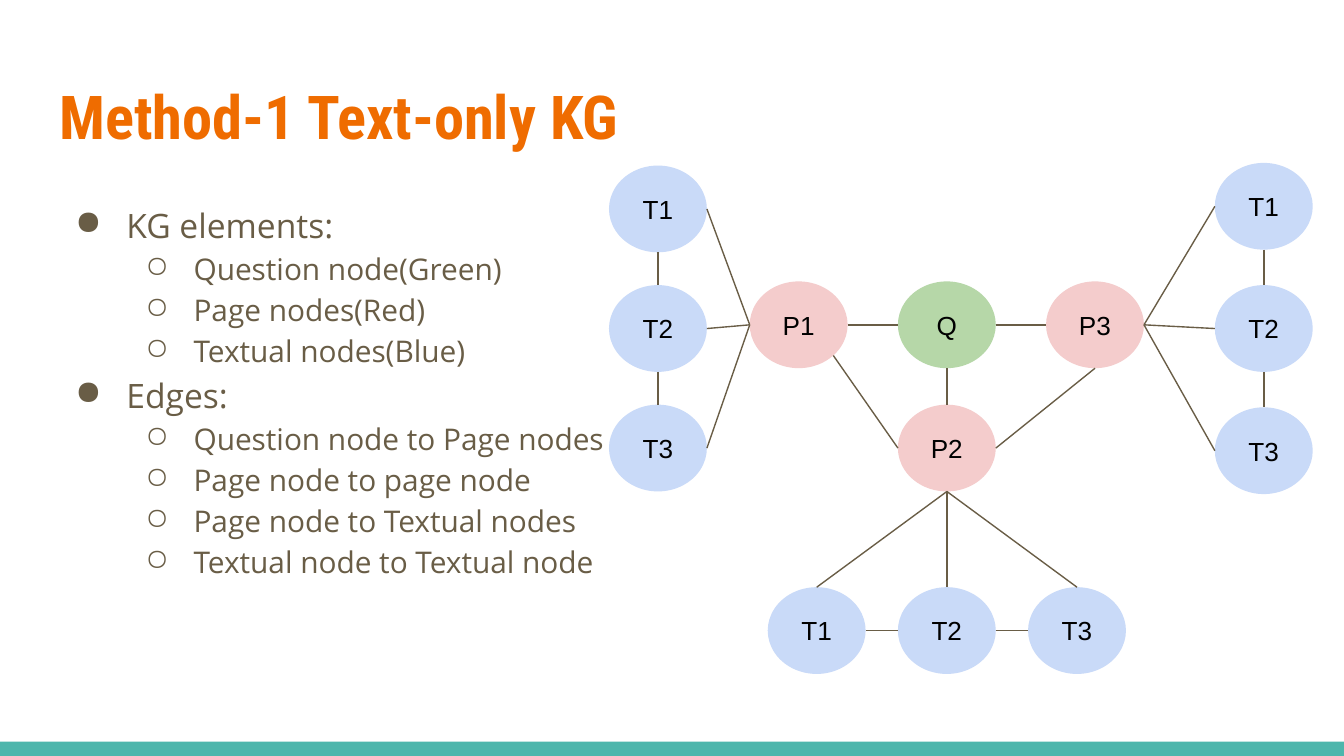
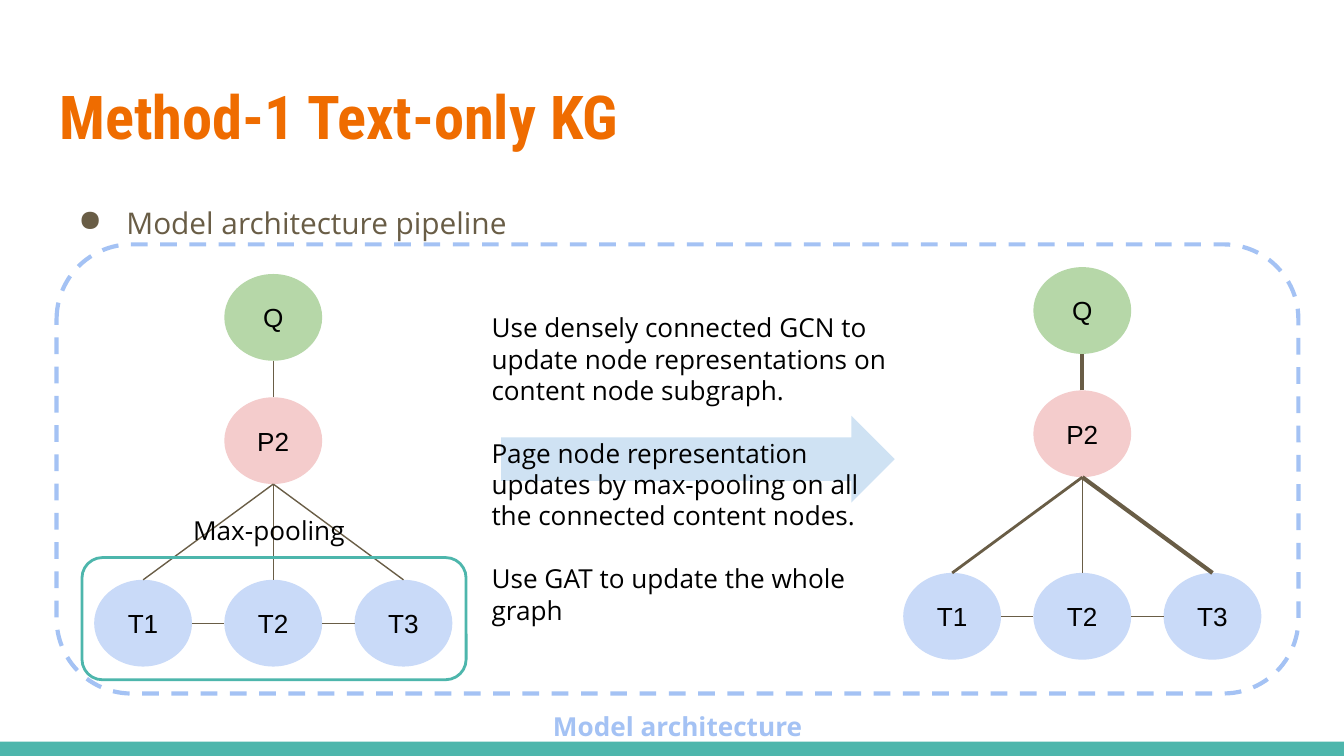
from lxml import etree
from pptx import Presentation
from pptx.dml.color import RGBColor
from pptx.enum.dml import MSO_LINE_DASH_STYLE as Dash
from pptx.enum.shapes import MSO_CONNECTOR as Conn, MSO_SHAPE as Shape
from pptx.enum.text import MSO_ANCHOR as Anchor, MSO_AUTO_SIZE as AutoSize, PP_ALIGN as Align
from pptx.oxml.ns import qn
from pptx.util import Cm, Pt

COLORS = {
    "orange": "EF6C00", "teal": "4DB6AC", "brown": "695D46", "black": "000000",
    "question": "B6D7A8", "page": "F4CCCC", "textual": "C9DAF8",
    "frame": "A4C2F4", "arrow": "CFE2F3",
}
NODE_W, NODE_H = 1.85, 1.64
SIDES = {
    "top": (0.5, 0), "left": (0, 0.5), "bottom": (0.5, 1), "right": (1, 0.5),
    "bottom right": (0.854, 0.854),
}
# (bullet, left margin in cm, size in points) for each level
LEVELS = [("●", 1.27, 18), ("○", 2.54, 16)]


def rgb(name):
    return RGBColor.from_string(COLORS[name])


class Deck:
    def __init__(self):
        self.prs = Presentation()
        self.prs.slide_width, self.prs.slide_height = Cm(25.4), Cm(14.29)
        self.s = None

    def slide(self, title):
        """Start a slide with the shared title and bottom band."""
        self.s = self.prs.slides.add_slide(self.prs.slide_layouts[5])
        self.shape(Shape.RECTANGLE, 0, 14.02, 25.4, 0.27, fill="teal")
        sp = self.s.shapes.title
        sp.left, sp.top, sp.width, sp.height = Cm(0.87), Cm(1.24), Cm(23.67), Cm(1.96)
        tf = self.frame(sp)
        p = tf.paragraphs[0]
        p.alignment = Align.LEFT
        self.run(p, title, 32.4, "orange", "Roboto Condensed", bold=True)

    def frame(self, sp, anchor=Anchor.TOP):
        tf = sp.text_frame
        tf.word_wrap = True
        tf.auto_size = AutoSize.NONE
        tf.vertical_anchor = anchor
        tf.margin_left = tf.margin_right = tf.margin_top = tf.margin_bottom = Cm(0.25)
        return tf

    def run(self, p, text, size, color, font="Open Sans", bold=False):
        r = p.add_run()
        r.text = text
        r.font.size, r.font.name, r.font.bold = Pt(size), font, bold
        r.font.color.rgb = rgb(color)

    def shape(self, kind, x, y, w, h, fill=None, line=None, weight=0.75, dash=None):
        sp = self.s.shapes.add_shape(kind, Cm(x), Cm(y), Cm(w), Cm(h))
        sp.shadow.inherit = False
        if fill:
            sp.fill.solid()
            sp.fill.fore_color.rgb = rgb(fill)
        else:
            sp.fill.background()
        if line:
            sp.line.color.rgb = rgb(line)
            sp.line.width = Pt(weight)
            if dash:
                sp.line.dash_style = dash
        else:
            sp.line.fill.background()
        return sp

    def text(self, x, y, w, h, paragraphs, color="black", align=Align.LEFT, bold=False, gap=0):
        """Add a text box; gap is the space in points between paragraphs."""
        tf = self.frame(self.s.shapes.add_textbox(Cm(x), Cm(y), Cm(w), Cm(h)))
        for i, text in enumerate(paragraphs):
            p = tf.add_paragraph() if i else tf.paragraphs[0]
            p.alignment = align
            p.space_before = Pt(gap if i else 0)
            self.run(p, text, 14, color, bold=bold)

    def bullets(self, w, h, items, top_size=LEVELS[0][2]):
        """Add a list of (level, text) items under the title."""
        tf = self.frame(self.s.shapes.add_textbox(Cm(0.87), Cm(3.51), Cm(w), Cm(h)))
        for i, (level, text) in enumerate(items):
            char, margin, size = LEVELS[level]
            size = size if level else top_size
            p = tf.add_paragraph() if i else tf.paragraphs[0]
            p.level = level
            p.line_spacing = 1.15
            pPr = p._p.get_or_add_pPr()
            pPr.set("marL", str(Cm(margin)))
            pPr.set("indent", str(-Cm(0.97 if size == 18 else 0.91)))
            color = etree.SubElement(pPr, qn("a:buClr"))
            etree.SubElement(color, qn("a:srgbClr"), val=COLORS["brown"])
            etree.SubElement(pPr, qn("a:buChar"), char=char)
            self.run(p, text, size, "brown")

    def node(self, label, x, y):
        kind = {"Q": "question", "P": "page", "T": "textual"}[label[0]]
        sp = self.shape(Shape.OVAL, x, y, NODE_W, NODE_H, fill=kind)
        p = self.frame(sp, Anchor.MIDDLE).paragraphs[0]
        p.alignment = Align.CENTER
        self.run(p, label, 14, "black", "Arial")
        return sp

    def edge(self, a, side_a, b, side_b, weight=0.75):
        ends = []
        for sp, side in ((a, side_a), (b, side_b)):
            fx, fy = SIDES[side]
            ends += [int(sp.left + fx * sp.width), int(sp.top + fy * sp.height)]
        line = self.s.shapes.add_connector(Conn.STRAIGHT, *ends)
        line.line.color.rgb = rgb("brown")
        line.line.width = Pt(weight)
        etree.SubElement(line._element.spPr, qn("a:effectLst"))

    def chain(self, x, y, dx, dy):
        """Add T1 to T3 in a row or a column, each joined to the next."""
        nodes = [self.node(f"T{i + 1}", x + i * dx, y + i * dy) for i in range(3)]
        out, back = ("right", "left") if dx else ("bottom", "top")
        for a, b in zip(nodes, nodes[1:]):
            self.edge(a, out, b, back)
        return nodes

    def tree(self, x, y, root_weight=0.75, weights=(0.75, 0.75, 0.75)):
        """Add Q above P2 above a row of textual nodes; return Q and P2."""
        q = self.node("Q", x, y)
        p2 = self.node("P2", x, y + 2.33)
        self.edge(p2, "top", q, "bottom", root_weight)
        for t, weight in zip(self.chain(x - 2.46, y + 5.78, 2.46, 0), weights):
            self.edge(p2, "bottom", t, "top", weight)
        return q, p2


def graph_slide(deck):
    deck.slide("Method-1 Text-only KG")
    deck.bullets(11.05, 9.88, [
        (0, "KG elements:"),
        (1, "Question node(Green)"),
        (1, "Page nodes(Red)"),
        (1, "Textual nodes(Blue)"),
        (0, "Edges:"),
        (1, "Question node to Page nodes"),
        (1, "Page node to page node"),
        (1, "Page node to Textual nodes"),
        (1, "Textual node to Textual node"),
    ])
    x, y = 16.97, 5.32
    q, p2 = deck.tree(x, y)
    p1 = deck.node("P1", x - 2.8, y)
    p3 = deck.node("P3", x + 2.8, y)
    deck.edge(p1, "right", q, "left")
    deck.edge(q, "right", p3, "left")
    deck.edge(p1, "bottom right", p2, "left")
    deck.edge(p2, "right", p3, "bottom")
    for t in deck.chain(11.51, 3.13, 0, 2.26):
        deck.edge(t, "right", p1, "left")
    for t in deck.chain(22.96, 3.08, 0, 2.31):
        deck.edge(p3, "right", t, "left")


def pipeline_slide(deck):
    deck.slide("Method-1 Text-only KG")
    deck.bullets(11.56, 1.52, [(0, "Model architecture pipeline")], top_size=16)
    deck.shape(Shape.ROUNDED_RECTANGLE, 1.07, 4.62, 23.47, 8.49,
               line="frame", weight=2.25, dash=Dash.DASH)
    deck.text(9.47, 13.18, 6.68, 1.12, ["Model architecture"], "frame", Align.CENTER, bold=True)
    deck.tree(4.24, 5.18)
    deck.tree(19.53, 5.05, root_weight=2.25, weights=(1.5, 0.75, 2.25))
    deck.shape(Shape.RIGHT_ARROW, 9.47, 7.86, 7.44, 1.64, fill="arrow")
    deck.text(9.04, 5.64, 8.15, 6.5, [
        "Use densely connected GCN to update node representations on content node subgraph.",
        "Page node representation updates by max-pooling on all the connected content nodes.",
        "Use GAT to update the whole graph",
    ], gap=16.8)
    deck.shape(Shape.ROUNDED_RECTANGLE, 1.55, 10.54, 7.26, 2.31, line="teal", weight=1.5)
    deck.text(3.4, 9.47, 3.51, 1.12, ["Max-pooling"])


def main():
    deck = Deck()
    graph_slide(deck)
    pipeline_slide(deck)
    deck.prs.save("out.pptx")


if __name__ == "__main__":
    main()
